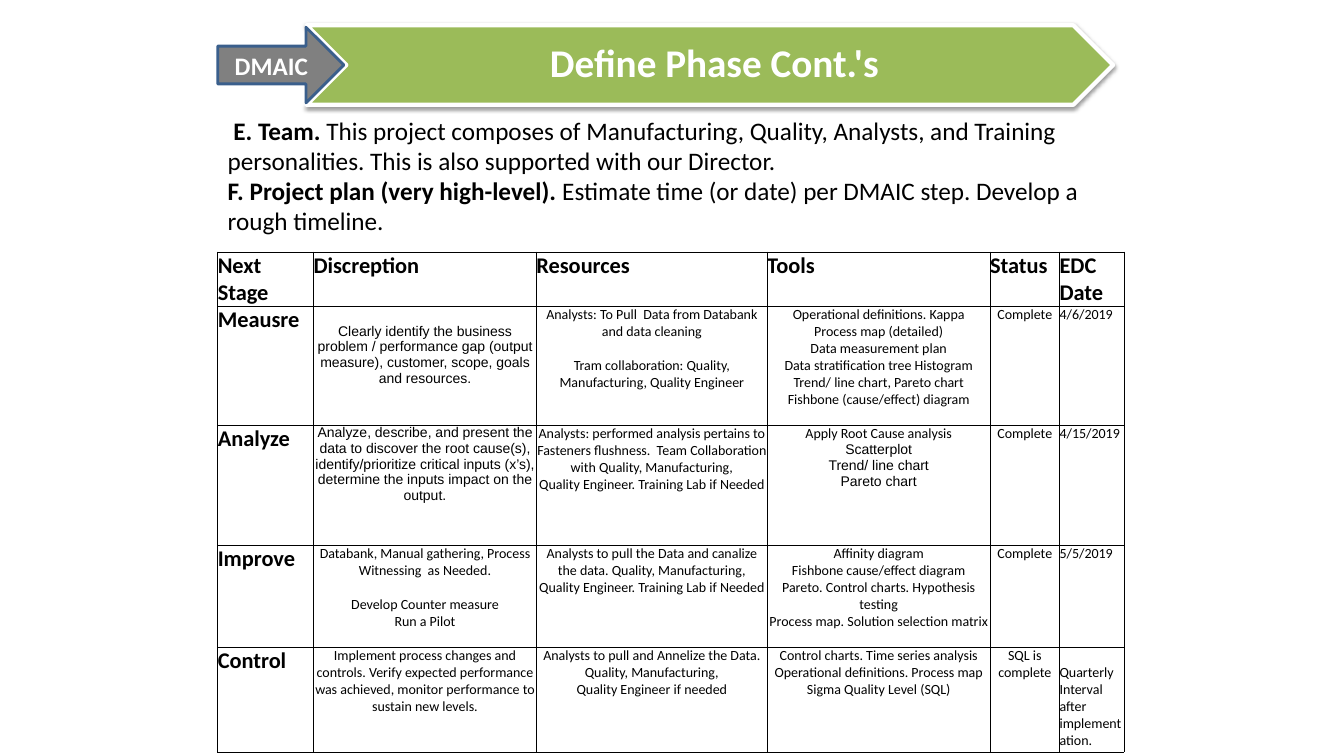
from lxml import etree
from pptx import Presentation
from pptx.dml.color import RGBColor
from pptx.enum.shapes import MSO_SHAPE
from pptx.enum.text import MSO_ANCHOR, PP_ALIGN
from pptx.oxml import parse_xml
from pptx.oxml.ns import nsdecls, qn
from pptx.util import Inches, Pt

CHEVRON, ARROW = MSO_SHAPE.CHEVRON, MSO_SHAPE.RIGHT_ARROW
LEFT, CENTER = PP_ALIGN.LEFT, PP_ALIGN.CENTER
MIDDLE = MSO_ANCHOR.MIDDLE


def color(value):
    return RGBColor.from_string(value)


def set_font(font, size, value, bold=None, name="Calibri"):
    font.name, font.size, font.bold = name, Pt(size), bold
    font.color.rgb = color(value)


deck = Presentation()
deck.slide_width, deck.slide_height = Inches(13.33), Inches(7.5)
page = deck.slides.add_slide(deck.slide_layouts[6])

banner = page.shapes.add_shape(CHEVRON, Inches(3.04), Inches(0.25), Inches(8), Inches(0.79))
arrow = page.shapes.add_shape(ARROW, Inches(2.16), Inches(0.27), Inches(1.25), Inches(0.75))
for shape, fill, line, width in ((banner, "9BBB59", "FFFFFF", 3), (arrow, "808080", "3A5F8C", 2)):
    shape.shadow.inherit = False
    shape.fill.solid()
    shape.fill.fore_color.rgb = color(fill)
    shape.line.color.rgb = color(line)
    shape.line.width = Pt(width)

effects = banner._element.spPr.find(qn("a:effectLst"))
shadow = etree.SubElement(effects, qn("a:outerShdw"), blurRad=str(Pt(3.1)),
                          dist=str(Pt(1.6)), dir="5400000", rotWithShape="0")
shade = etree.SubElement(shadow, qn("a:srgbClr"), val="000000")
etree.SubElement(shade, qn("a:alpha"), val="38000")

title = page.shapes.add_textbox(Inches(3.44), Inches(0.25), Inches(7.21), Inches(0.79))
frame = title.text_frame
frame.margin_left = Inches(0.12)
frame.margin_top = frame.margin_right = frame.margin_bottom = Inches(0.04)
for box, text, size in ((title, "Define Phase Cont.'s", 28), (arrow, "DMAIC", 18)):
    box.text_frame.word_wrap = True
    box.text_frame.vertical_anchor = MIDDLE
    para = box.text_frame.paragraphs[0]
    para.text, para.alignment = text, CENTER
    set_font(para.font, size, "FFFFFF", True)
title.text_frame.paragraphs[0].line_spacing = 0.9

intro = page.shapes.add_textbox(Inches(2.16), Inches(1.09), Inches(8.83), Inches(2.22))
intro.text_frame.word_wrap = True
points = [
    (" E. Team. ", "This project composes of Manufacturing, Quality, Analysts, and Training "
     "personalities. This is also supported with our Director."),
    ("F. Project plan (very high-level). ",
     "Estimate time (or date) per DMAIC step. Develop a rough timeline."),
]
for index, (heading, body) in enumerate(points):
    para = intro.text_frame.add_paragraph() if index else intro.text_frame.paragraphs[0]
    set_font(para.font, 18, "000000")
    for text, bold in ((heading, True), (body, False)):
        span = para.add_run()
        span.text, span.font.bold = text, bold

rows = [
    ["Next Stage", "Discreption", "Resources", "Tools", "Status", "EDC Date"],
    ["Meausre",
     "Clearly identify the business problem / performance gap (output measure), customer, "
     "scope, goals and resources.",
     "Analysts: To Pull  Data from Databank and data cleaning\n\n"
     "Tram collaboration: Quality, Manufacturing, Quality Engineer",
     "Operational definitions. Kappa\nProcess map (detailed)\nData measurement plan\n"
     "Data stratification tree Histogram\nTrend/ line chart, Pareto chart\n"
     "Fishbone (cause/effect) diagram",
     "Complete", "4/6/2019"],
    ["Analyze",
     "Analyze, describe, and present the data to discover the root cause(s), "
     "identify/prioritize critical inputs (x’s), determine the inputs impact on the output.",
     "Analysts: performed analysis pertains to Fasteners flushness.  Team Collaboration "
     "with Quality, Manufacturing,\nQuality Engineer. Training Lab if Needed",
     "Apply Root Cause analysis\nScatterplot\nTrend/ line chart\nPareto chart",
     "Complete", "4/15/2019"],
    ["Improve",
     "Databank, Manual gathering, Process Witnessing  as Needed.\n\n"
     "Develop Counter measure\nRun a Pilot",
     "Analysts to pull the Data and canalize the data. Quality, Manufacturing,\n"
     "Quality Engineer. Training Lab if Needed",
     "Affinity diagram\nFishbone cause/effect diagram\n"
     "Pareto. Control charts. Hypothesis testing\nProcess map. Solution selection matrix",
     "Complete", "5/5/2019"],
    ["Control",
     "Implement process changes and controls. Verify expected performance was achieved, "
     "monitor performance to sustain new levels.",
     "Analysts to pull and Annelize the Data. Quality, Manufacturing,\n"
     "Quality Engineer if needed",
     "Control charts. Time series analysis\nOperational definitions. Process map\n"
     "Sigma Quality Level (SQL)",
     "SQL is complete", "Quarterly Interval  after  implementation."],
]
widths = [0.95, 2.21, 2.29, 2.21, 0.69, 0.64]
heights = [0.54, 1.18, 1.19, 1.01, 1.04]
arial_from = {(1, 1): 0, (2, 1): 0, (2, 3): 1}
lowered = {(1, 1): 0.17, (4, 5): 0.17}

plan = page.shapes.add_table(len(rows), len(widths), Inches(2.16), Inches(2.5),
                             Inches(sum(widths)), Inches(sum(heights))).table
plan.first_row = plan.horz_banding = False
for column, width in zip(plan.columns, widths):
    column.width = Inches(width)
for row, height in zip(plan.rows, heights):
    row.height = Inches(height)

for r, texts in enumerate(rows):
    for c, text in enumerate(texts):
        cell = plan.cell(r, c)
        cell.fill.background()
        cell.margin_left = cell.margin_right = cell.margin_bottom = 0
        cell.margin_top = Inches(lowered.get((r, c), 0))
        for position, side in enumerate(("lnL", "lnR", "lnT", "lnB")):
            cell._tc.tcPr.insert(position, parse_xml(
                f'<a:{side} {nsdecls("a")} w="{Pt(0.5)}"><a:solidFill>'
                f'<a:srgbClr val="000000"/></a:solidFill></a:{side}>'))
        heading = r == 0 or c == 0
        gap_before = {block.count("\n") + 1 for block in text.split("\n\n")[:-1]}
        cell.text_frame.text = text.replace("\n\n", "\n")
        for index, para in enumerate(cell.text_frame.paragraphs):
            arial = index >= arial_from.get((r, c), 99)
            set_font(para.font, 16 if heading else 10, "000000", heading,
                     "Arial" if arial else "Calibri")
            para.alignment = LEFT if heading or c == 5 else CENTER
            if index in gap_before:
                para.space_before = Pt(12)

deck.save("out.pptx")
